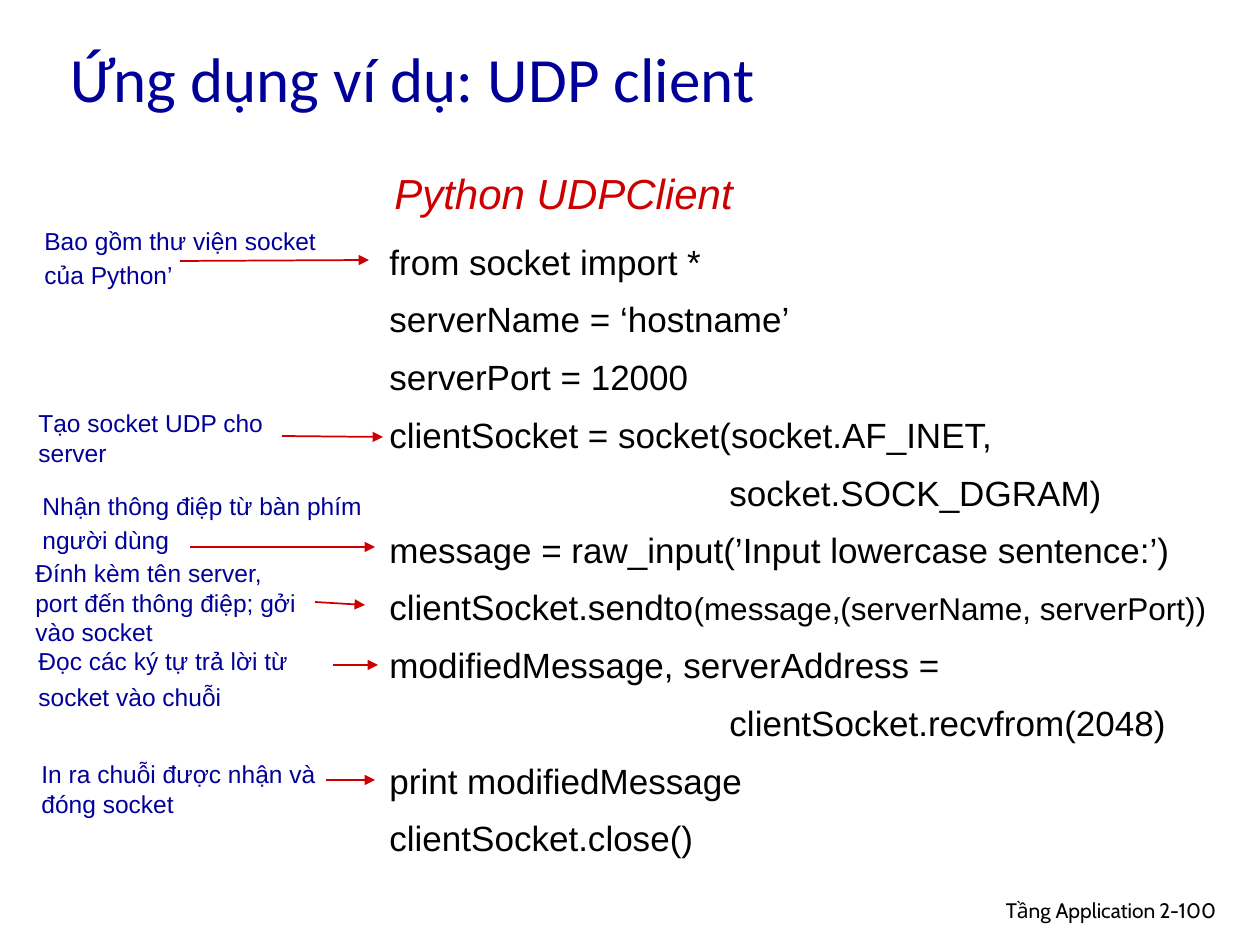
from lxml.etree import SubElement
from pptx import Presentation
from pptx.dml.color import RGBColor
from pptx.enum.shapes import MSO_CONNECTOR
from pptx.enum.text import MSO_ANCHOR, MSO_AUTO_SIZE, PP_ALIGN
from pptx.oxml.ns import qn
from pptx.util import Emu, Pt

EMU_PER_PX = 914400 / 126

NAVY = RGBColor(0x00, 0x00, 0x99)
RED = RGBColor(0xCC, 0x00, 0x00)
BLACK = RGBColor(0x00, 0x00, 0x00)

CODE_INDENT = " " * 35
CODE_LINES = [
    "from socket import *",
    "serverName = ‘hostname’",
    "serverPort = 12000",
    "clientSocket = socket(socket.AF_INET,",
    CODE_INDENT + "socket.SOCK_DGRAM)",
    "message = raw_input(’Input lowercase sentence:’)",
    "clientSocket.sendto",
    "modifiedMessage, serverAddress =",
    CODE_INDENT + "clientSocket.recvfrom(2048)",
    "print modifiedMessage",
    "clientSocket.close()",
]
SEND_LINE = 6
SEND_ARGUMENTS = "(message,(serverName, serverPort))"

# Each note: lines, box, arrow start and end, wrap, line spacing in points
NOTES = [
    (["Đính kèm tên server, port đến thông điệp; gởi vào socket"],
     (23, 552, 292, 101), (315, 602, 365, 605), True, None),
    (["Nhận thông điệp từ bàn phím", "người dùng"],
     (30, 486, 345, 76), (190, 547, 375, 547), False, 16),
    (["Bao gồm thư viện socket", "của Python’"],
     (32, 221, 297, 76), (180, 261, 369, 260), False, 16),
    (["Tạo socket UDP cho server"],
     (26, 402, 312, 72), (282, 436, 383, 437), True, None),
    (["In ra chuỗi được nhận và đóng socket"],
     (29, 753, 324, 72), (326, 780, 375, 780), True, None),
    (["Đọc các ký tự trả lời từ", "socket vào chuỗi"],
     (26, 640, 324, 78), (333, 665, 378, 665), True, None),
]


def px(*lengths):
    return [Emu(round(length * EMU_PER_PX)) for length in lengths]


def style_run(run, font, size, color):
    run.font.name = font
    run.font.size = Pt(size)
    run.font.color.rgb = color


def add_text(shapes, lines, box, size, color, font="Arial", wrap=True,
             grow=False, line_spacing=None, gap=0):
    text_frame = shapes.add_textbox(*px(*box)).text_frame
    text_frame.word_wrap = wrap
    if grow:
        text_frame.auto_size = MSO_AUTO_SIZE.SHAPE_TO_FIT_TEXT
    text_frame.text = "\n".join(lines)
    for index, paragraph in enumerate(text_frame.paragraphs):
        if line_spacing:
            paragraph.line_spacing = Pt(line_spacing)
        if index:
            paragraph.space_before = Pt(gap)
        for run in paragraph.runs:
            style_run(run, font, size, color)
    return text_frame


def add_arrow(shapes, ends):
    arrow = shapes.add_connector(MSO_CONNECTOR.STRAIGHT, *px(*ends))
    arrow.line.color.rgb = RED
    arrow.line.width = Pt(1)
    properties = arrow.element.spPr
    SubElement(properties.find(qn("a:ln")), qn("a:tailEnd"), type="triangle")
    SubElement(properties, qn("a:effectLst"))


def add_note(slide, lines, box, arrow_ends, wrap, line_spacing):
    group = slide.shapes.add_group_shape()
    add_text(group.shapes, lines, box, 14, NAVY, wrap=wrap, grow=True,
             line_spacing=line_spacing, gap=3.5)
    add_arrow(group.shapes, arrow_ends)


def add_code(slide):
    text_frame = add_text(slide.shapes, CODE_LINES, (377, 227, 842, 638), 20,
                          BLACK, wrap=False, grow=True, line_spacing=28, gap=5)
    paragraph = text_frame.paragraphs[SEND_LINE]
    paragraph.space_before = Pt(4.5)
    arguments = paragraph.add_run()
    arguments.text = SEND_ARGUMENTS
    style_run(arguments, "Arial", 18, BLACK)


def main():
    presentation = Presentation()
    presentation.slide_width, presentation.slide_height = px(1260, 945)
    slide = presentation.slides.add_slide(presentation.slide_layouts[6])

    # Title and code heading
    title = add_text(slide.shapes, ["Ứng dụng ví dụ: UDP client"],
                     (58, 12, 1071, 131), 36, NAVY, font="Calibri")
    title.vertical_anchor = MSO_ANCHOR.MIDDLE
    heading = add_text(slide.shapes, ["Python UDPClient"],
                       (382, 161, 380, 63), 24, RED)
    heading.paragraphs[0].runs[0].font.italic = True

    # Program and the notes that explain it
    add_code(slide)
    for note in NOTES:
        add_note(slide, *note)

    # Footer
    footer = add_text(slide.shapes, ["Tầng Application"],
                      (769, 891, 399, 39), 12, BLACK, font="Cabin")
    footer.paragraphs[0].alignment = PP_ALIGN.RIGHT
    add_text(slide.shapes, ["2-100"], (1147, 891, 93, 38), 12, BLACK,
             font="Cabin")

    presentation.save("out.pptx")


if __name__ == "__main__":
    main()
